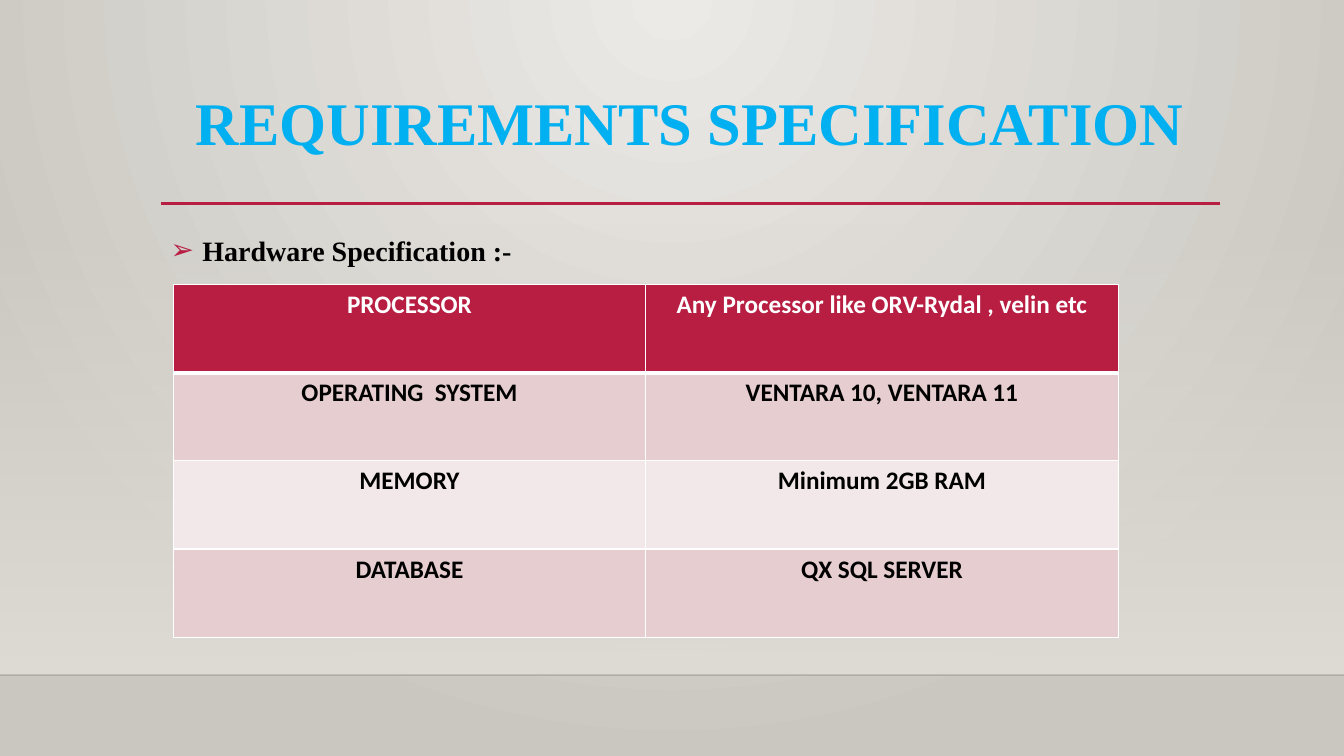
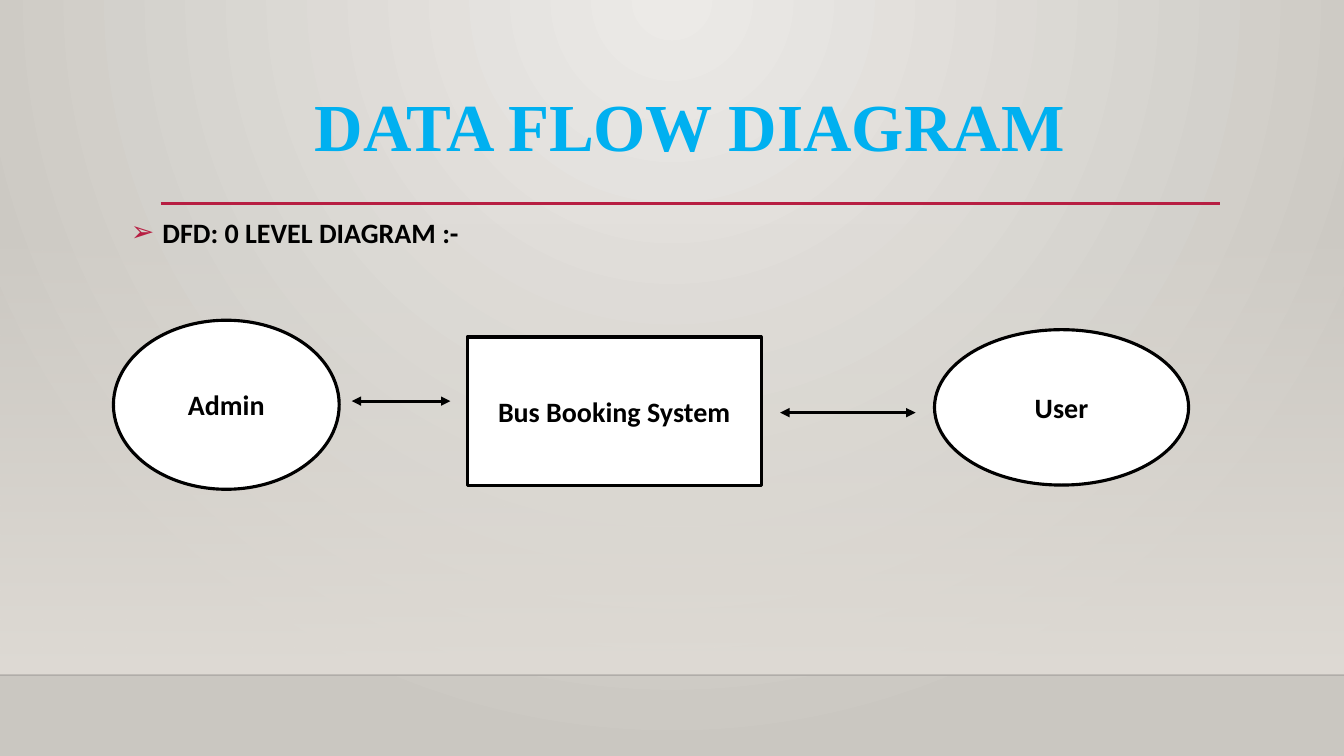
from lxml import etree
from pptx import Presentation
from pptx.dml.color import RGBColor
from pptx.enum.shapes import MSO_CONNECTOR, MSO_SHAPE
from pptx.enum.text import MSO_ANCHOR, MSO_AUTO_SIZE, PP_ALIGN
from pptx.oxml import parse_xml
from pptx.oxml.ns import nsdecls, qn
from pptx.util import Emu, Pt

STRAIGHT = MSO_CONNECTOR.STRAIGHT
OVAL, BOX = MSO_SHAPE.OVAL, MSO_SHAPE.RECTANGLE
CENTER, TOP, MIDDLE = PP_ALIGN.CENTER, MSO_ANCHOR.TOP, MSO_ANCHOR.MIDDLE
NO_FIT = MSO_AUTO_SIZE.NONE

# Shared look
WIDTH, HEIGHT = 1280, 720
SERIF, SANS = "Times New Roman", "Calibri"
SKY, CRIMSON, BLACK, WHITE = "00B0F0", "B71E42", "000000", "FFFFFF"
ROW_FILLS = ("E6CDCF", "F3E8E9")
BACKDROP_STOPS = [(0, "ECEAE7", 100), (100, "CAC7C1", 100)]
BAND_STOPS = [(0, "DFDBD5", 0), (100, "DFDBD5", 100)]
BACKDROP_SHADE = ('<a:path path="circle"><a:fillToRect l="43000" t="0" '
                  'r="43000" b="100000"/></a:path>')
BAND_SHADE = '<a:lin ang="5400000" scaled="0"/>'
BAND_TOP, FLOOR = 212, 643
TITLE_BOX = (153, 84, 1008, 110)
RULE = (153, 194, 1162, 194)
BULLET_INDENT = 24

# Content: heading runs are (text, font, bold)
REQUIREMENTS = {
    "title": ("REQUIREMENTS SPECIFICATION", 43.2),
    "heading": [(" ", SANS, False), ("Hardware Specification :-", SERIF, True)],
    "heading_box": (153, 211, 1008, 362),
}
HARDWARE = [
    ("PROCESSOR", "Any Processor like ORV-Rydal , velin etc"),
    ("OPERATING  SYSTEM", "VENTARA 10, VENTARA 11"),
    ("MEMORY", "Minimum 2GB RAM"),
    ("DATABASE", "QX SQL SERVER"),
]
TABLE_LEFT, TABLE_TOP, COLUMN_WIDTH, ROW_HEIGHT = 165, 271, 450, 84

DATA_FLOW = {
    "title": ("DATA FLOW DIAGRAM", 48),
    "heading": [(" DFD: 0 LEVEL DIAGRAM :-", SANS, True)],
    "heading_box": (115, 194, 1056, 468),
}
NODES = [
    ("Admin", OVAL, (108, 305, 215, 161)),
    ("Bus Booking System", BOX, (445, 321, 280, 141)),
    ("User", OVAL, (890, 314, 242, 148)),
]
FLOWS = [(335, 382, 429, 382), (743, 393, 872, 393)]


def px(*lengths):
    return [Emu(length * 9525) for length in lengths]


def color(value):
    return RGBColor.from_string(value)


def add_span(para, text, size, font, ink, bold=True):
    span = para.add_run()
    span.text = text
    span.font.size = Pt(size)
    span.font.name = font
    span.font.bold = bold
    span.font.color.rgb = color(ink)


def paint_gradient(element, stops, shade):
    """Swap the element's first solid fill for a gradient."""
    marks = "".join(
        f'<a:gs pos="{pos * 1000}"><a:srgbClr val="{value}">'
        f'<a:alpha val="{alpha * 1000}"/></a:srgbClr></a:gs>'
        for pos, value, alpha in stops)
    gradient = parse_xml(f'<a:gradFill {nsdecls("a")} rotWithShape="1">'
                         f'<a:gsLst>{marks}</a:gsLst>{shade}</a:gradFill>')
    solid = element.find(".//" + qn("a:solidFill"))
    solid.getparent().replace(solid, gradient)


def add_line(page, ends, ink, weight, arrows=False, alpha=None):
    line = page.shapes.add_connector(STRAIGHT, *px(*ends))
    line.line.color.rgb = color(ink)
    line.line.width = Pt(weight)
    properties = line.element.spPr
    outline = properties.find(qn("a:ln"))
    if alpha is not None:
        value = outline.find(".//" + qn("a:srgbClr"))
        etree.SubElement(value, qn("a:alpha"), val=str(alpha * 1000))
    if arrows:
        for end in ("a:headEnd", "a:tailEnd"):
            etree.SubElement(outline, qn(end), type="triangle")
    etree.SubElement(properties, qn("a:effectLst"))
    return line


def add_node(page, label, kind, place):
    node = page.shapes.add_shape(kind, *px(*place))
    node.shadow.inherit = False
    node.fill.solid()
    node.fill.fore_color.rgb = color(WHITE)
    node.line.color.rgb = color(BLACK)
    node.line.width = Pt(2.25)
    node.text_frame.vertical_anchor = MIDDLE
    para = node.text_frame.paragraphs[0]
    para.alignment = CENTER
    add_span(para, label, 20, SANS, BLACK)


def decorate_master(deck, page):
    """Draw band and rules on a page, then move them to the master."""
    master = deck.slide_master
    master.background.fill.solid()
    master.background.fill.fore_color.rgb = color(WHITE)
    paint_gradient(master.element, BACKDROP_STOPS, BACKDROP_SHADE)

    band = page.shapes.add_shape(
        BOX, *px(0, BAND_TOP, WIDTH, FLOOR - BAND_TOP))
    band.shadow.inherit = False
    band.line.fill.background()
    band.fill.solid()
    band.fill.fore_color.rgb = color(WHITE)
    paint_gradient(band.element, BAND_STOPS, BAND_SHADE)
    floor = add_line(page, (0, FLOOR, WIDTH, FLOOR), "000001", 1, alpha=20)
    rule = add_line(page, RULE, CRIMSON, 2.5)
    for index, part in enumerate((band, floor, rule)):
        part.element.find(".//" + qn("p:cNvPr")).set("id", str(100 + index))
        master.shapes.element.insert(2 + index, part.element)


def fill_placeholder(holder, place):
    holder.left, holder.top, holder.width, holder.height = px(*place)
    frame = holder.text_frame
    frame.word_wrap = True
    frame.auto_size = NO_FIT
    frame.vertical_anchor = TOP
    return frame.paragraphs[0]


def add_page(deck, content):
    page = deck.slides.add_slide(deck.slide_layouts[1])
    title, body = page.placeholders

    para = fill_placeholder(title, TITLE_BOX)
    para.alignment = CENTER
    para.line_spacing = 0.9
    text, size = content["title"]
    add_span(para, text, size, SERIF, SKY)

    # Heading with its arrow bullet
    para = fill_placeholder(body, content["heading_box"])
    para.line_spacing = 1.2
    para.space_before = Pt(10)
    for text, font, bold in content["heading"]:
        add_span(para, text, 20, font, BLACK, bold)
    properties = para._p.get_or_add_pPr()
    indent = px(BULLET_INDENT)[0]
    properties.set("marL", str(indent))
    properties.set("indent", str(-indent))
    bullet_color = etree.SubElement(properties, qn("a:buClr"))
    etree.SubElement(bullet_color, qn("a:srgbClr"), val=CRIMSON)
    etree.SubElement(properties, qn("a:buChar"), char="➢")
    return page


def style_cell(cell, text, row):
    header = row == 0
    properties = cell._tc.get_or_add_tcPr()
    for side in "LRTB":
        thick = (header and side == "B") or (row == 1 and side == "T")
        border = etree.SubElement(properties, qn("a:ln" + side),
                                  w=str(Pt(3 if thick else 1)))
        paint = etree.SubElement(border, qn("a:solidFill"))
        etree.SubElement(paint, qn("a:srgbClr"), val=WHITE)
    cell.fill.solid()
    cell.fill.fore_color.rgb = color(
        CRIMSON if header else ROW_FILLS[(row - 1) % 2])
    para = cell.text_frame.paragraphs[0]
    para.alignment = CENTER
    add_span(para, text, 18, SANS, WHITE if header else BLACK)


def add_hardware_table(page):
    rows, columns = len(HARDWARE), len(HARDWARE[0])
    place = px(TABLE_LEFT, TABLE_TOP, columns * COLUMN_WIDTH, rows * ROW_HEIGHT)
    table = page.shapes.add_table(rows, columns, *place).table
    for row, texts in enumerate(HARDWARE):
        for column, text in enumerate(texts):
            style_cell(table.cell(row, column), text, row)


def main():
    deck = Presentation()
    deck.slide_width, deck.slide_height = px(WIDTH, HEIGHT)

    # Requirements table
    page = add_page(deck, REQUIREMENTS)
    decorate_master(deck, page)
    add_hardware_table(page)

    # Data flow diagram
    page = add_page(deck, DATA_FLOW)
    for node in NODES:
        add_node(page, *node)
    for ends in FLOWS:
        add_line(page, ends, BLACK, 2.25, arrows=True)

    deck.save("out.pptx")


if __name__ == "__main__":
    main()
